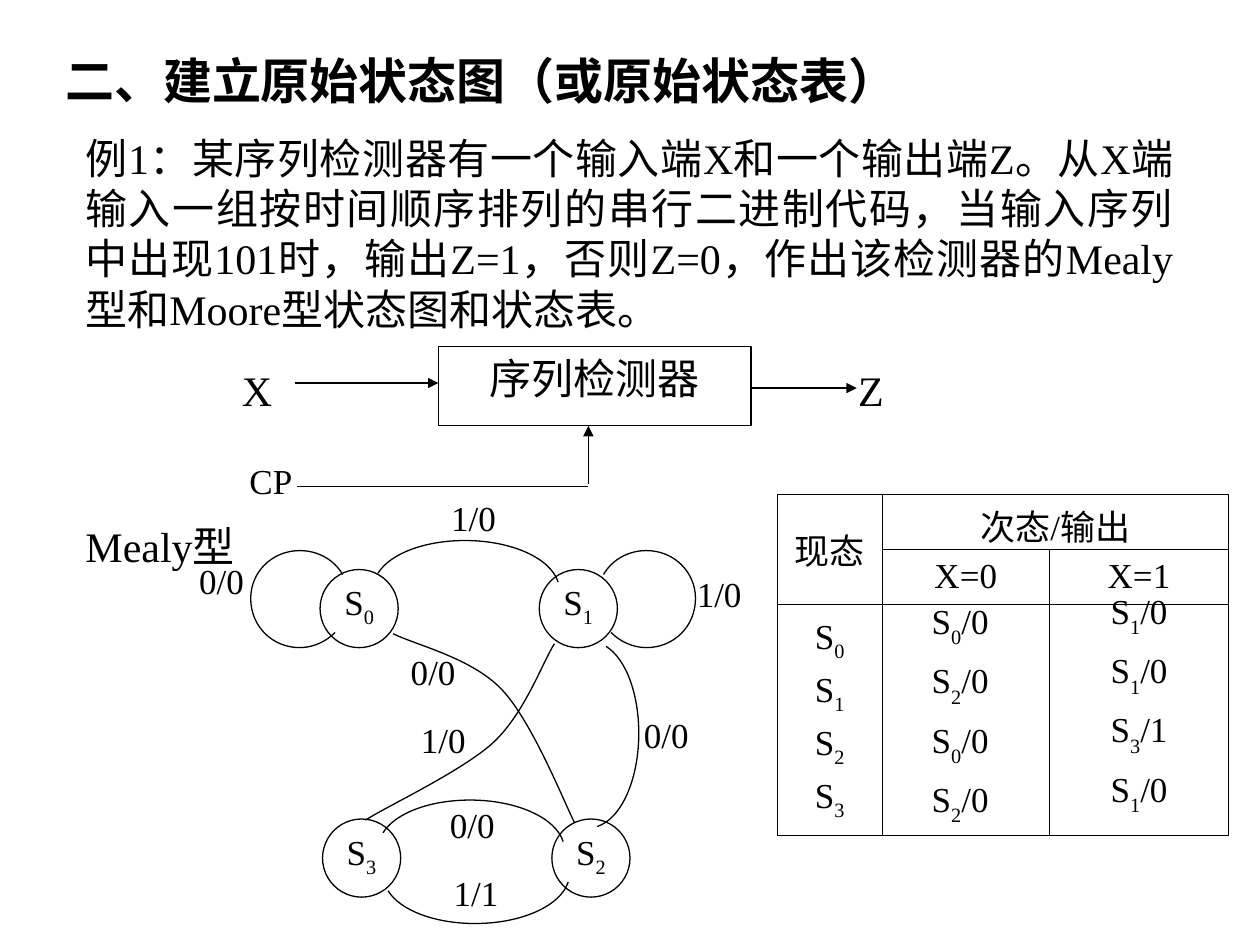
from lxml.etree import SubElement
from pptx import Presentation
from pptx.dml.color import RGBColor
from pptx.enum.shapes import MSO_CONNECTOR, MSO_SHAPE
from pptx.enum.text import MSO_ANCHOR, PP_ALIGN
from pptx.oxml.ns import qn
from pptx.util import Inches, Pt

BLACK = RGBColor(0, 0, 0)
WHITE = RGBColor(255, 255, 255)


def write(frame, *lines, size=20, bold=False, align=PP_ALIGN.CENTER, margins=(0.1, 0.05),
          anchor=MSO_ANCHOR.TOP, spacing=None, gap=0, sub=-25):
    frame.word_wrap = True
    frame.vertical_anchor = anchor
    frame.margin_left = frame.margin_right = Inches(margins[0])
    frame.margin_top = frame.margin_bottom = Inches(margins[1])
    for index, line in enumerate(lines):
        paragraph = frame.add_paragraph() if index else frame.paragraphs[0]
        paragraph.alignment = align
        if spacing:
            paragraph.line_spacing = spacing
        if index and gap:
            paragraph.space_before = Pt(gap)
        base, mark, rest = line.partition("_")
        for text, lowered in ((base, False), (rest[:1], True), (rest[1:], False)):
            if text:
                run = paragraph.add_run()
                run.text = text
                run.font.name = "Times New Roman"
                run.font.size = Pt(size)
                run.font.bold = bold
                run.font.color.rgb = BLACK
                if lowered:
                    run.font._element.set("baseline", str(sub * 1000))


def draw_curve(points):
    corners = [(Inches(x), Inches(y)) for x, y in points]
    builder = slide.shapes.build_freeform(*corners[0])
    builder.add_line_segments(corners[1:], close=False)
    curve = builder.convert_to_shape()
    segments = list(curve._element.iter(qn("a:lnTo")))
    for start in range(0, len(segments), 3):
        bezier = SubElement(segments[start].getparent(), qn("a:cubicBezTo"))
        for segment in segments[start:start + 3]:
            bezier.append(segment[0])
            segment.getparent().remove(segment)
    curve.shadow.inherit = False
    curve.fill.background()
    curve.line.color.rgb = BLACK
    curve.line.width = Pt(0.75)


prs = Presentation()
prs.slide_width, prs.slide_height = Inches(10), Inches(7.5)
slide = prs.slides.add_slide(prs.slide_layouts[6])

problem = ("例1：某序列检测器有一个输入端X和一个输出端Z。从X端输入一组按时间顺序排列的串行二进制代码，"
           "当输入序列中出现101时，输出Z=1，否则Z=0，作出该检测器的Mealy型和Moore型状态图和状态表。")
headings = [
    ("二、建立原始状态图（或原始状态表）", 0.42, 0.35, 7.83, 0.57, 28, True, PP_ALIGN.LEFT),
    (problem, 0.58, 1, 8.83, 1.7, 24, False, PP_ALIGN.JUSTIFY),
    ("Mealy型", 0.58, 4.08, 1.75, 0.5, 24, False, PP_ALIGN.LEFT),
]
for text, left, top, width, height, size, bold, align in headings:
    heading = slide.shapes.add_textbox(Inches(left), Inches(top), Inches(width), Inches(height))
    write(heading.text_frame, text, size=size, bold=bold, align=align)

detector = slide.shapes.add_shape(MSO_SHAPE.RECTANGLE, Inches(3.48), Inches(2.75), Inches(2.48), Inches(0.63))
detector.shadow.inherit = False
detector.fill.background()
detector.line.color.rgb = BLACK
detector.line.width = Pt(0.75)
write(detector.text_frame, "序列检测器", size=24)

signals = [
    (2.34, 3.04, 3.48, 3.04, True),
    (4.67, 3.84, 4.67, 3.38, True),
    (4.67, 3.86, 2.36, 3.86, False),
    (5.96, 3.08, 6.8, 3.08, True),
]
for x1, y1, x2, y2, arrow in signals:
    signal = slide.shapes.add_connector(MSO_CONNECTOR.STRAIGHT, Inches(x1), Inches(y1), Inches(x2), Inches(y2))
    signal.line.color.rgb = BLACK
    signal.line.width = Pt(0.75)
    if arrow:
        SubElement(signal.line._get_or_add_ln(), qn("a:tailEnd"), type="triangle")
    SubElement(signal._element.spPr, qn("a:effectLst"))

for name, left, top in [("S_0", 2.54, 4.52), ("S_2", 4.38, 6.5), ("S_3", 2.56, 6.5), ("S_1", 4.28, 4.52)]:
    state = slide.shapes.add_shape(MSO_SHAPE.OVAL, Inches(left), Inches(top), Inches(0.62), Inches(0.62))
    state.shadow.inherit = False
    state.fill.solid()
    state.fill.fore_color.rgb = WHITE
    state.line.color.rgb = BLACK
    state.line.width = Pt(0.75)
    write(state.text_frame, name, margins=(0, 0))

arc = [(1.43, 0.33), (1.37, 0.14), (1.06, 0), (0.69, 0), (0.38, 0), (0.1, 0.1), (0, 0.26)]
loop = [(0.73, 0.19), (0.66, 0.07), (0.53, 0), (0.39, 0), (0.17, 0), (0, 0.17), (0, 0.38),
        (0, 0.6), (0.17, 0.77), (0.39, 0.77), (0.5, 0.77), (0.6, 0.72), (0.67, 0.65)]
draw_curve([(1.99 + x, 4.37 + y) for x, y in loop])
draw_curve([(3 + x, 4.29 + y) for x, y in arc])
draw_curve([(5.52 - x, 4.37 + y) for x, y in loop])
draw_curve([(3.08 + x, 7.33 - y) for x, y in arc])
draw_curve([(5.07 - y, 5.13 + x) for x, y in arc])
draw_curve([(3.04 + x, 6.35 + y) for x, y in arc])
draw_curve([(2.9, 6.51), (3.07, 6.4), (3.67, 6.12), (3.92, 5.89), (4.17, 5.65), (4.3, 5.27), (4.4, 5.11)])
draw_curve([(4.56, 6.53), (4.47, 6.35), (4.22, 5.72), (3.98, 5.47), (3.74, 5.22), (3.3, 5.12), (3.12, 5.03)])

labels = [
    ("X", 1.92, 2.89, 24), ("CP", 1.98, 3.65, 20), ("Z", 6.81, 2.89, 24),
    ("1/0", 3.58, 3.94, 20), ("0/0", 1.58, 4.44, 20), ("1/0", 5.53, 4.54, 20), ("1/1", 3.6, 6.92, 20),
    ("0/0", 5.11, 5.66, 20), ("0/0", 3.26, 5.16, 20), ("0/0", 3.57, 6.38, 20), ("1/0", 3.34, 5.7, 20),
]
for text, left, top, size in labels:
    label = slide.shapes.add_textbox(Inches(left), Inches(top), Inches(0.38), Inches(0.36))
    write(label.text_frame, text, size=size, align=PP_ALIGN.JUSTIFY, margins=(0, 0))

transitions = [
    (7.08, 4.83, ["S_0/0", "S_2/0", "S_0/0", "S_2/0"]),
    (8.5, 4.75, ["S_1/0", "S_1/0", "S_3/1", "S_1/0"]),
]
for left, top, entries in transitions:
    column = slide.shapes.add_textbox(Inches(left), Inches(top), Inches(1.08), Inches(1.58))
    write(column.text_frame, *entries, anchor=MSO_ANCHOR.MIDDLE, spacing=1.2, sub=-30)

state_table = slide.shapes.add_table(3, 3, Inches(6.17), Inches(3.92), Inches(3.58), Inches(2.5)).table
state_table.first_row = state_table.horz_banding = False
for column, width in zip(state_table.columns, (0.83, 1.33, 1.42)):
    column.width = Inches(width)
for row, height in zip(state_table.rows, (0.44, 0.44, 1.83)):
    row.height = Inches(height)
for cell in state_table.iter_cells():
    properties = cell._tc.get_or_add_tcPr()
    for side in ("a:lnL", "a:lnR", "a:lnT", "a:lnB"):
        border = SubElement(properties, qn(side), w=str(Pt(0.45)))
        SubElement(SubElement(border, qn("a:solidFill")), qn("a:srgbClr"), val=str(BLACK))
    cell.fill.background()
state_table.cell(0, 0).merge(state_table.cell(1, 0))
state_table.cell(0, 1).merge(state_table.cell(0, 2))
entries = {
    (0, 0): ["现态"], (0, 1): ["次态/输出"], (1, 1): ["X=0"], (1, 2): ["X=1"],
    (2, 0): ["S_0", "S_1", "S_2", "S_3"],
}
for (row, column), lines in entries.items():
    cell = state_table.cell(row, column)
    write(cell.text_frame, *lines, gap=5)
    cell.vertical_anchor = MSO_ANCHOR.MIDDLE

prs.save("out.pptx")
